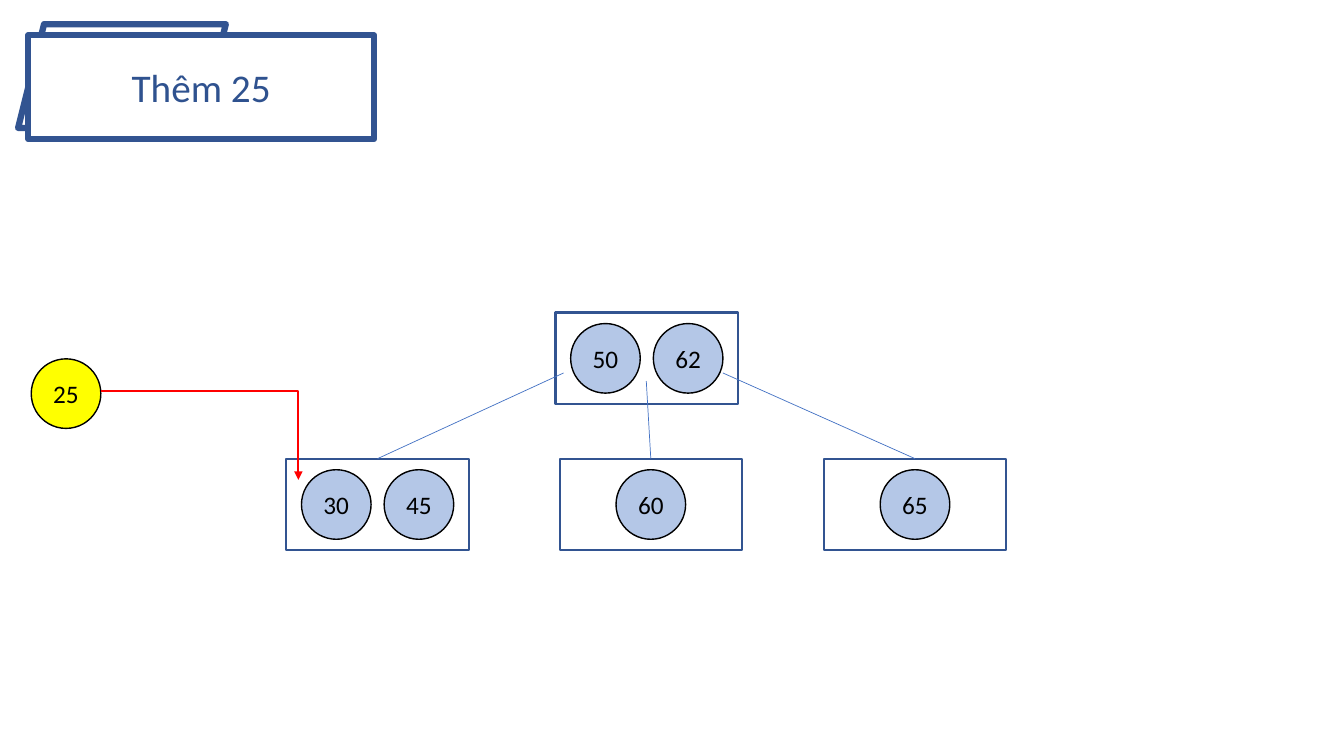
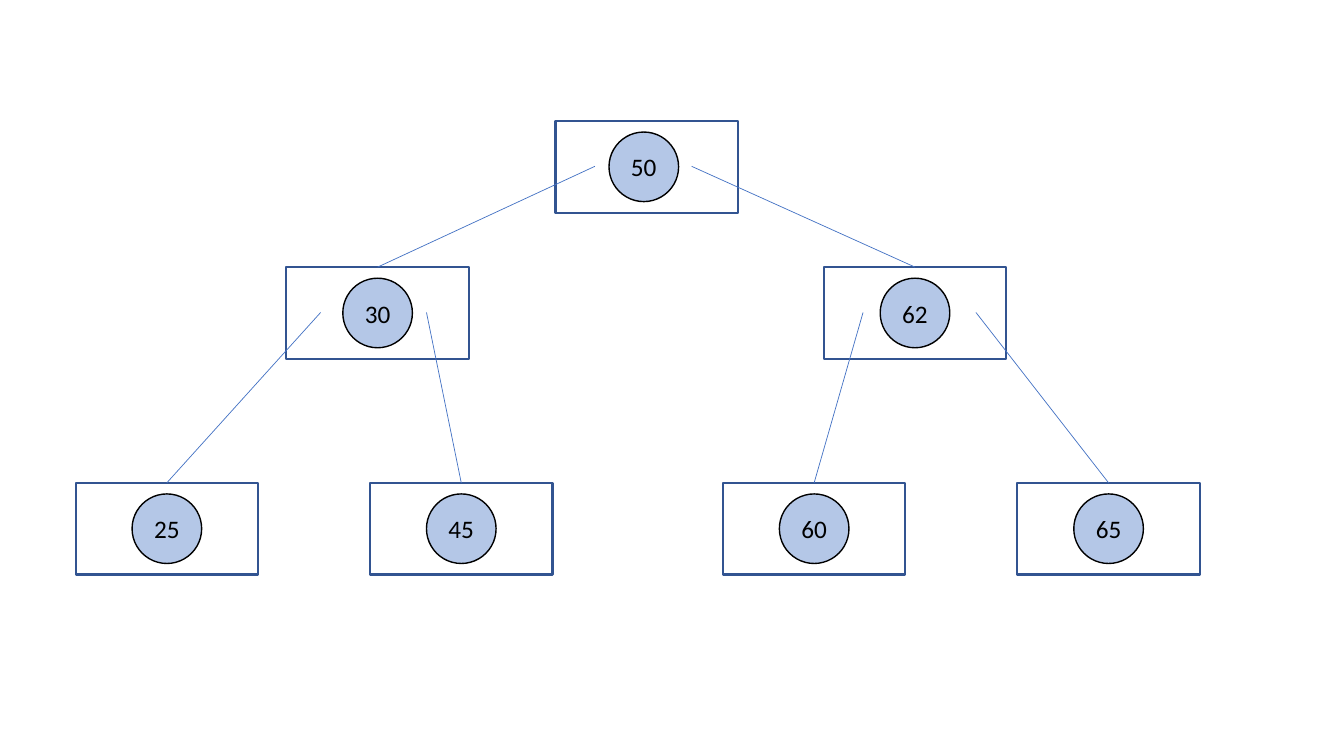
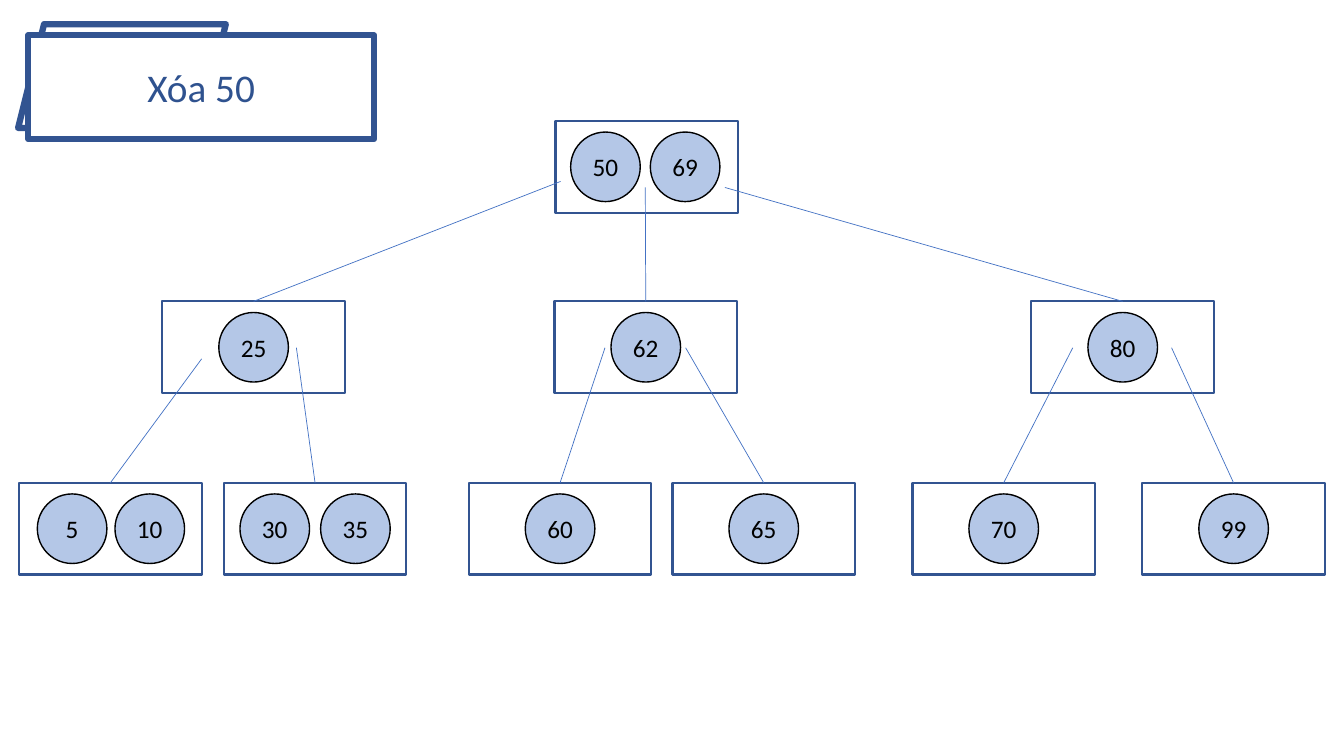
from dataclasses import dataclass

from lxml.etree import SubElement
from pptx import Presentation
from pptx.dml.color import RGBColor
from pptx.enum.shapes import MSO_CONNECTOR, MSO_SHAPE
from pptx.enum.text import MSO_ANCHOR, MSO_AUTO_SIZE, PP_ALIGN
from pptx.oxml.ns import qn
from pptx.util import Emu, Pt

PX = 9144  # 100 px to the inch
TITLE_ONLY, BLANK = 5, 6
NODE_W, NODE_H, KEY_SIZE = 181, 91, 69
CENTRED = (NODE_W - KEY_SIZE) // 2
KEY_INSET = (NODE_H - KEY_SIZE) // 2
TOP = 0


@dataclass(frozen=True)
class Theme:
    font: str = "Calibri"
    frame: str = "325491"
    title: str = "2F528F"
    edge: str = "4472C4"
    key: str = "B4C7E7"
    new_key: str = "FFFF00"
    insert: str = "FF0000"
    ink: str = "000000"
    paper: str = "FFFFFF"
    title_size: int = 28
    key_size: int = 18
    banner_line: float = 4.5
    frame_line: float = 1.5
    key_line: float = 1
    edge_line: float = 0.5


def px(length):
    return Emu(round(length * PX))


class TreeDeck:
    """Slides that show the nodes, keys and edges of a search tree."""

    def __init__(self, theme):
        self.theme = theme
        self.deck = Presentation()
        self.deck.slide_width, self.deck.slide_height = px(1333), px(750)

    def start_slide(self, title=None):
        layout = BLANK if title is None else TITLE_ONLY
        self.slide = self.deck.slides.add_slide(self.deck.slide_layouts[layout])
        if title is not None:
            self.banner(title)

    def paint(self, shape, fill, line, width):
        if fill is None:
            shape.fill.background()
        else:
            shape.fill.solid()
            shape.fill.fore_color.rgb = RGBColor.from_string(fill)
        self.stroke(shape.line, line, width)

    def stroke(self, line, color, width):
        line.color.rgb = RGBColor.from_string(color)
        line.width = Pt(width)

    def label(self, shape, text, size, color):
        frame = shape.text_frame
        frame.auto_size = MSO_AUTO_SIZE.NONE
        frame.vertical_anchor = MSO_ANCHOR.MIDDLE
        frame.margin_left = frame.margin_right = 0
        paragraph = frame.paragraphs[0]
        paragraph.alignment = PP_ALIGN.CENTER
        run = paragraph.add_run()
        run.text = text
        run.font.name = self.theme.font
        run.font.size = Pt(size)
        run.font.color.rgb = RGBColor.from_string(color)

    def shape(self, preset, box, fill, line, width):
        shape = self.slide.shapes.add_shape(preset, *map(px, box))
        shape.shadow.inherit = False
        self.paint(shape, fill, line, width)
        return shape

    def banner(self, text):
        """Slanted title placeholder with a smaller slanted panel behind it."""
        theme = self.theme
        look = theme.paper, theme.frame, theme.banner_line
        self.shape(MSO_SHAPE.PARALLELOGRAM, (18, 24, 206, 103), *look)
        title = self.slide.shapes.title
        title.left, title.top, title.width, title.height = map(px, (28, 35, 343, 103))
        outline = SubElement(title.element.spPr, qn("a:prstGeom"), prst="parallelogram")
        SubElement(outline, qn("a:avLst"))
        self.paint(title, *look)
        self.label(title, text, theme.title_size, theme.title)
        title.element.getparent().append(title.element)  # in front of the panel

    def key(self, left, top, value, fill=None):
        theme = self.theme
        circle = self.shape(MSO_SHAPE.OVAL, (left, top, KEY_SIZE, KEY_SIZE),
                            fill or theme.key, theme.ink, theme.key_line)
        self.label(circle, str(value), theme.key_size, theme.ink)

    def node(self, left, top, *values, offsets=None):
        """Frame with one or two keys; offsets are measured from its left side."""
        theme = self.theme
        frame = self.shape(MSO_SHAPE.RECTANGLE, (left, top, NODE_W, NODE_H),
                           None, theme.frame, theme.frame_line)
        offsets = offsets or ((CENTRED,) if len(values) == 1 else (15, 97))
        for value, offset in zip(values, offsets):
            self.key(left + offset, top + KEY_INSET, value)
        return frame

    def connector(self, preset, start, end, color, width):
        line = self.slide.shapes.add_connector(preset, *map(px, start + end))
        self.stroke(line.line, color, width)
        SubElement(line.element.spPr, qn("a:effectLst"))
        return line

    def edge(self, x, y, child):
        link = self.connector(MSO_CONNECTOR.STRAIGHT, (x, y), (x, y),
                              self.theme.edge, self.theme.edge_line)
        link.end_connect(child, TOP)

    def insert_arrow(self, start, end):
        """Arrow that runs level as far as its end, then drops."""
        arrow = self.connector(MSO_CONNECTOR.ELBOW, start, end,
                               self.theme.insert, self.theme.frame_line)
        properties = arrow.element.spPr
        bend = properties.find(qn("a:prstGeom")).find(qn("a:avLst"))
        SubElement(bend, qn("a:gd"), name="adj1", fmla="val 100000")
        SubElement(properties.find(qn("a:ln")), qn("a:tailEnd"), type="triangle")


def insertion_slide(tree):
    tree.start_slide("Thêm 25")
    tree.node(551, 310, 50, 62)
    low = tree.node(284, 455, 30, 45)
    middle = tree.node(555, 455, 60)
    high = tree.node(817, 455, 65)
    tree.edge(559, 370, low)
    tree.edge(641, 378, middle)
    tree.edge(717, 370, high)
    tree.key(31, 356, 25, tree.theme.new_key)
    tree.insert_arrow((100, 388), (296, 476))


def split_slide(tree):
    tree.start_slide()
    tree.node(551, 120, 50, offsets=(53,))
    low = tree.node(284, 265, 30)
    high = tree.node(817, 265, 62)
    tree.edge(590, 165, low)
    tree.edge(686, 165, high)
    for value, left, start in ((25, 75, 318), (45, 367, 423),
                               (60, 717, 856), (65, 1009, 968)):
        tree.edge(start, 310, tree.node(left, 479, value))


def deletion_slide(tree):
    tree.start_slide("Xóa 50")
    tree.node(551, 120, 50, 69, offsets=(15, 94))
    for value, left, start in ((25, 161, (556, 180)), (62, 550, (640, 186)),
                               (80, 1023, (719, 186))):
        tree.edge(*start, tree.node(left, 299, value))
    leaves = (
        ((5, 10), 19, (18, 95), (200, 356)),
        ((30, 35), 222, (16, 96), (294, 345)),
        ((60,), 465, None, (600, 345)),
        ((65,), 667, None, (680, 345)),
        ((70,), 905, None, (1064, 345)),
        ((99,), 1133, None, (1162, 345)),
    )
    for values, left, offsets, start in leaves:
        tree.edge(*start, tree.node(left, 479, *values, offsets=offsets))


def main():
    tree = TreeDeck(Theme())
    insertion_slide(tree)
    split_slide(tree)
    deletion_slide(tree)
    tree.deck.save("out.pptx")


if __name__ == "__main__":
    main()
